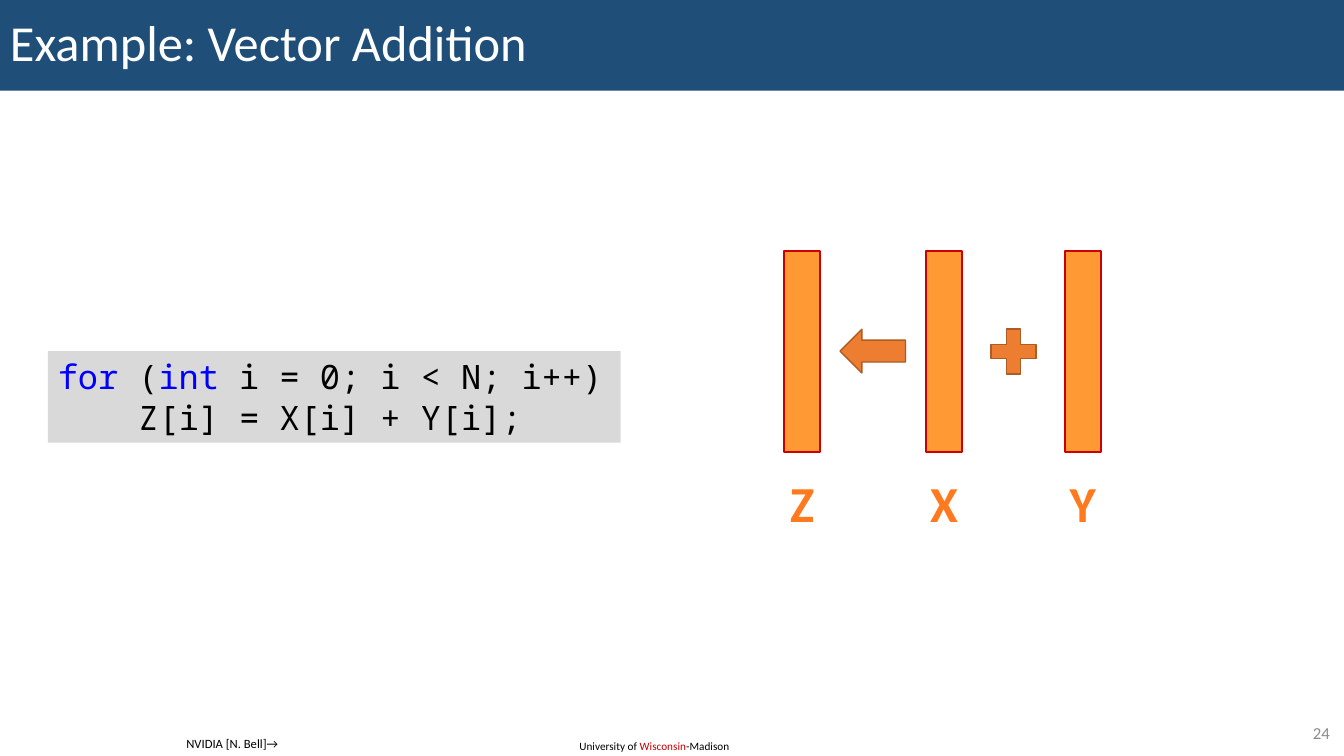
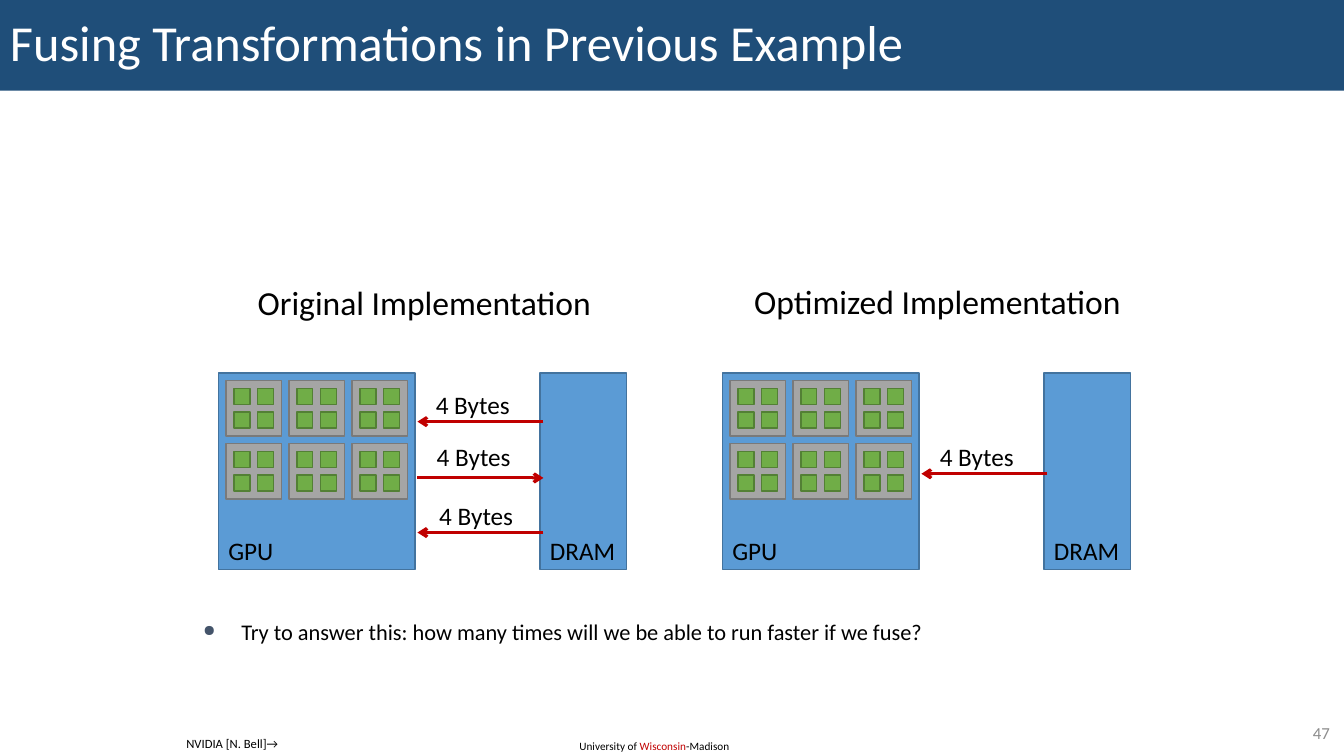
from pptx import Presentation, util as u
from pptx.dml.color import RGBColor
from pptx.enum import shapes, text
from pptx.oxml.ns import qn
from lxml import etree

CELL = u.Pt(6)  # the slide is a grid of 160 columns by 90 rows
COLS, ROWS = 160, 90
NAVY, BLACK, RED, GREY = "1F4E79", "000000", "C00000", "8C8C8C"
KEYWORD, CODE_BACK = "0000FF", "D9D9D9"
ORANGE, ORANGE_EDGE = "ED7D31", "AF5C24"
LEFT, CENTER, RIGHT = text.PP_ALIGN.LEFT, text.PP_ALIGN.CENTER, text.PP_ALIGN.RIGHT
RECT = shapes.MSO_SHAPE.RECTANGLE
color = RGBColor.from_string


def block(slide, cells, fill, edge=None, weight=1, preset=RECT):
    """Draw a filled shape; cells are left, top, width, height on the grid."""
    shape = slide.shapes.add_shape(preset, *(round(c * CELL) for c in cells))
    shape.shadow.inherit = False
    shape.fill.solid()
    shape.fill.fore_color.rgb = color(fill)
    if edge:
        shape.line.color.rgb = color(edge)
        shape.line.width = u.Pt(weight)
    else:
        shape.line.fill.background()
    return shape


def write(slide, lines, size, cells=None, holder=None, align=LEFT, middle=False,
          wrap=False, font="Calibri", spacing=None):
    """Write lines of (text, colour) runs in holder, or in a new box at cells."""
    holder = holder or slide.shapes.add_textbox(*(round(c * CELL) for c in cells))
    frame = holder.text_frame
    frame.word_wrap = wrap
    frame.vertical_anchor = text.MSO_ANCHOR.MIDDLE if middle else text.MSO_ANCHOR.TOP
    for index, line in enumerate(lines):
        paragraph = frame.add_paragraph() if index else frame.paragraphs[0]
        paragraph.alignment = align
        paragraph.line_spacing = spacing
        for words, tint in line:
            run = paragraph.add_run()
            run.text = words
            run.font.size = u.Pt(size)
            run.font.name = font
            run.font.color.rgb = color(tint)
    return frame


deck = Presentation()
deck.slide_width, deck.slide_height = COLS * CELL, ROWS * CELL

# Title band and footers of every slide
pages = []
for title, number in (("Example: Vector Addition", "24"),
                      ("Fusing Transformations in Previous Example", "47")):
    page = deck.slides.add_slide(deck.slide_layouts[6])
    band = block(page, (0, 0, COLS, 10.8), NAVY)
    write(page, [[(title, "FFFFFF")]], 36, holder=band, middle=True, wrap=True, spacing=0.9)
    write(page, [[("University of ", BLACK), ("Wisconsin", RED), ("-Madison", BLACK)]],
          8, (67.8, 87.4, 20.6, 2.9), wrap=True)
    write(page, [[("NVIDIA [N. Bell]→", BLACK)]], 9, (21, 87, 13.3, 3))
    write(page, [[(number, GREY)]], 12, (150.4, 85.5, 9.1, 3.5),
          align=RIGHT, middle=True, wrap=True)
    pages.append(page)
addition, fusion = pages

# Vector addition: the loop and its picture Z <- X + Y
code = [[("for", KEYWORD), (" (", BLACK), ("int", KEYWORD), (" i = 0; i < N; i++)", BLACK)],
        [("    Z[i] = X[i] + Y[i];", BLACK)]]
listing = block(addition, (5.7, 41.8, 68.2, 10.9), CODE_BACK)
write(addition, code, 24, holder=listing, wrap=True, font="Noto Sans Mono",
      spacing=u.Pt(29))

block(addition, (117, 38.2, 7.3, 7.3), ORANGE, ORANGE_EDGE,
      preset=shapes.MSO_SHAPE.MATH_PLUS)
block(addition, (100, 39.2, 7.8, 5.2), ORANGE, ORANGE_EDGE,
      preset=shapes.MSO_SHAPE.LEFT_ARROW)
for vector, middle_col in (("Z", 95.5), ("X", 112.4), ("Y", 128.9)):
    block(addition, (middle_col - 2.15, 29.9, 4.3, 23.9), "FF9933", "CC0000", 1.5)
    label = write(addition, [[(vector, "FF7A1F")]], 36,
                  (middle_col - 3, 55.6, 6, 8.5), align=CENTER)
    letter = label.paragraphs[0].runs[0].font
    letter.bold = True
    letter.fill.gradient()
    letter.fill.gradient_angle = 270
    for stop, (place, tint) in zip(letter.fill.gradient_stops,
                                   ((0.25, "FF7A1F"), (1, "CA5200"))):
        stop.position = place
        stop.color.rgb = color(tint)

# Fusion: memory traffic before and after.
# Each transfer: arrow row, label column, label row, whether the GPU reads
implementations = (
    ("Original Implementation", 26, 50.5, 33,
     ((50.2, 24.7, 45.8, True), (56.9, 24.8, 52, False), (63.4, 25.1, 59, True))),
    ("Optimized Implementation", 86, 111.6, 32.9, ((56.4, 24.7, 52, True),)),
)
TOP, HEIGHT = 44.4, 23.4
CORE_PITCH, CORE_SIZE = 7.5, 6.6
THREAD_PITCH, THREAD_SIZE = 2.8, 1.9
for heading, left, heading_middle, heading_top, transfers in implementations:
    write(fusion, [[(heading, BLACK)]], 24, (heading_middle - 23, heading_top, 46, 6),
          align=CENTER)
    for unit, offset, width in (("GPU", 0, HEIGHT), ("DRAM", 38.3, 10.3)):
        block(fusion, (left + offset, TOP, width, HEIGHT), "5B9BD5", "43739E")
        write(fusion, [[(unit, BLACK)]], 18, (left + offset, 63.1, 10.3, 4.8))

    for core in range(6):
        row, col = divmod(core, 3)
        core_left = left + 0.9 + col * CORE_PITCH
        core_top = TOP + 0.9 + row * CORE_PITCH
        block(fusion, (core_left, core_top, CORE_SIZE, CORE_SIZE), "A5A5A5", "7A7A7A")
        for thread in range(4):
            row, col = divmod(thread, 2)
            block(fusion, (core_left + 0.95 + col * THREAD_PITCH,
                           core_top + 0.95 + row * THREAD_PITCH,
                           THREAD_SIZE, THREAD_SIZE), "70AD47", "538035")

    for arrow_row, label_col, label_row, gpu_reads in transfers:
        write(fusion, [[("4 Bytes", BLACK)]], 18, (left + label_col, label_row, 11.3, 4.8))
        start, end = (38.7, 23.7) if gpu_reads else (23.7, 38.7)
        y = round(arrow_row * CELL)
        transfer = fusion.shapes.add_connector(
            shapes.MSO_CONNECTOR.STRAIGHT,
            round((left + start) * CELL), y, round((left + end) * CELL), y)
        transfer.line.color.rgb = color(RED)
        transfer.line.width = u.Pt(2.25)
        etree.SubElement(transfer.line._get_or_add_ln(), qn("a:tailEnd"), type="arrow")
        etree.SubElement(transfer._element.spPr, qn("a:effectLst"))

# Closing question, bulleted
question = "Try to answer this: how many times will we be able to run faster if we fuse?"
closing = write(fusion, [[(question, BLACK)]], 16, (23, 73, 114, 5.5), wrap=True)
bullet = closing.paragraphs[0]._p.get_or_add_pPr()
indent = u.Inches(0.38)
bullet.set("marL", str(indent))
bullet.set("indent", str(-indent))
tint = etree.SubElement(bullet, qn("a:buClr"))
etree.SubElement(tint, qn("a:srgbClr"), val="44546A")
etree.SubElement(bullet, qn("a:buSzPct"), val="70000")
etree.SubElement(bullet, qn("a:buChar"), char="●")

deck.save("out.pptx")
